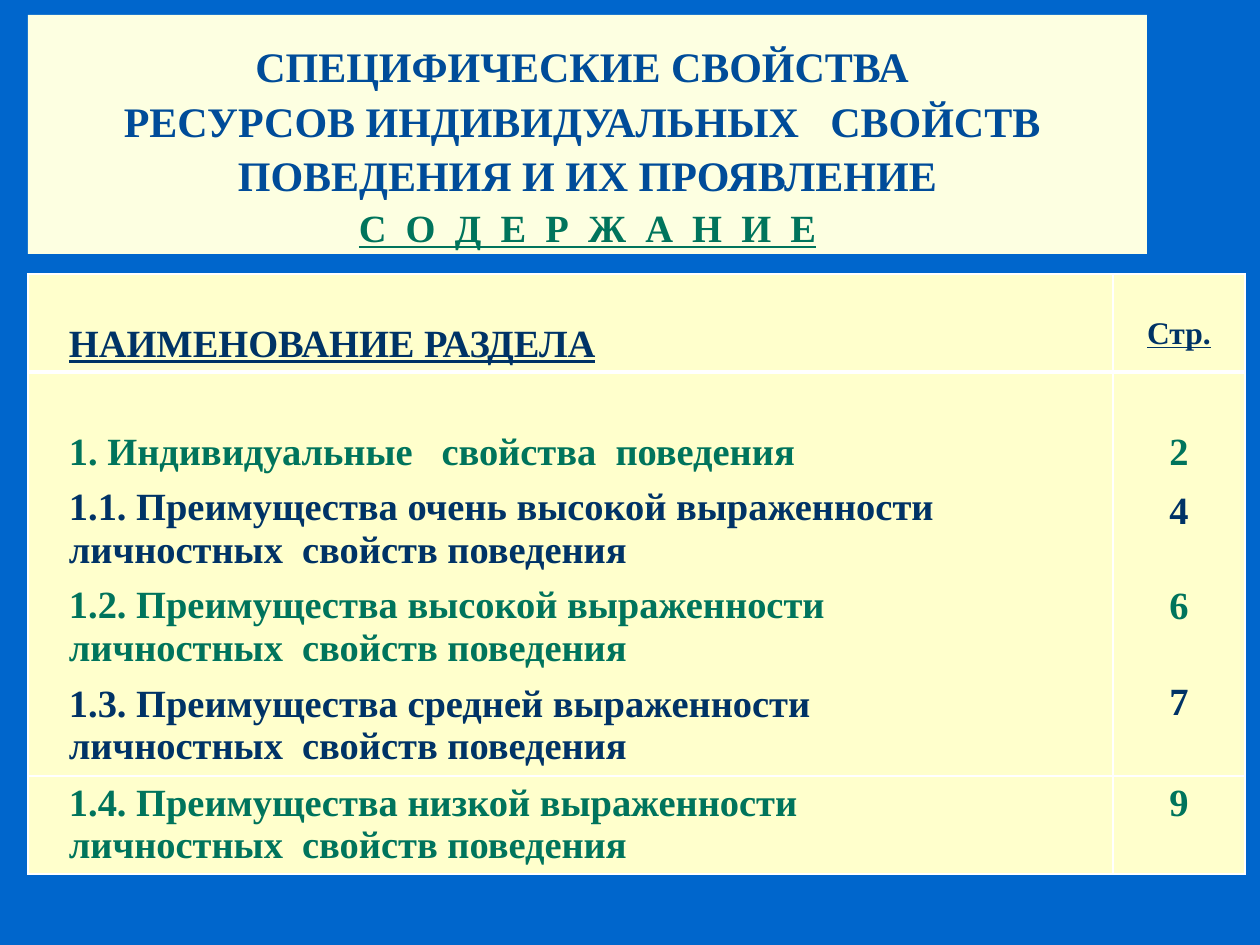
from dataclasses import dataclass

from lxml.etree import SubElement
from pptx import Presentation
from pptx.dml.color import RGBColor
from pptx.enum.shapes import MSO_SHAPE
from pptx.enum.text import MSO_ANCHOR, PP_ALIGN
from pptx.oxml.ns import qn
from pptx.util import Emu, Pt

EMU_PER_PX = 914400 / 126
FONT = "Times New Roman"
BLUE, CREAM, IVORY, WHITE = "0066CC", "FFFFCC", "FDFFE1", "FFFFFF"
TITLE_BLUE, GREEN, NAVY = "004C99", "00745C", "003366"


@dataclass
class Line:
    text: str
    color: str
    size: int = 22
    before: int = 0
    underline: bool = False


@dataclass
class Row:
    height: int
    names: list[Line]
    pages: list[Line]
    name_top: int = 6
    page_top: int = 6
    top_border: float = 1
    bottom_border: float = 1


def px(value: int) -> Emu:
    return Emu(round(value * EMU_PER_PX))


def rgb(color: str) -> RGBColor:
    return RGBColor.from_string(color)


def add_span(para, line: Line) -> None:
    span = para.add_run()
    span.text = line.text
    span.font.name = FONT
    span.font.size = Pt(line.size)
    span.font.bold = True
    span.font.underline = line.underline
    span.font.color.rgb = rgb(line.color)


def add_border(cell, side: str, width: float) -> None:
    border = SubElement(cell._tc.get_or_add_tcPr(), qn(f"a:ln{side}"), w=str(Pt(width)))
    if width:
        fill = SubElement(border, qn("a:solidFill"))
        SubElement(fill, qn("a:srgbClr"), val=WHITE)
    else:
        SubElement(border, qn("a:noFill"))


def fill_cell(cell, row: Row, lines: list[Line], top: int, left: int, align) -> None:
    widths = {"L": 1, "R": 1, "T": row.top_border, "B": row.bottom_border}
    for side, width in widths.items():
        add_border(cell, side, width)
    cell.fill.solid()
    cell.fill.fore_color.rgb = rgb(CREAM)
    cell.margin_left, cell.margin_right = px(left), px(12)
    cell.margin_top, cell.margin_bottom = px(top), px(6)
    frame = cell.text_frame
    for index, line in enumerate(lines):
        para = frame.add_paragraph() if index else frame.paragraphs[0]
        para.alignment = align
        if line.before:
            para.space_before = px(line.before)
        add_span(para, line)


def section(number: str, degree: str, color: str, before: int = 13) -> list[Line]:
    return [
        Line(f"{number} Преимущества {degree} выраженности", color, before=before),
        Line("личностных  свойств поведения", color),
    ]


def add_title(page) -> None:
    box = page.shapes.add_shape(MSO_SHAPE.RECTANGLE, px(28), px(15), px(1119), px(239))
    box.shadow.inherit = False
    box.fill.solid()
    box.fill.fore_color.rgb = rgb(IVORY)
    box.line.fill.background()
    frame = box.text_frame
    frame.word_wrap = True
    frame.vertical_anchor = MSO_ANCHOR.TOP
    frame.margin_top = px(22)
    para = frame.paragraphs[0]
    para.alignment = PP_ALIGN.CENTER
    para.line_spacing = 1.08
    lines = [
        Line("СПЕЦИФИЧЕСКИЕ СВОЙСТВА ", TITLE_BLUE, 24),
        Line("РЕСУРСОВ ИНДИВИДУАЛЬНЫХ   СВОЙСТВ  ПОВЕДЕНИЯ И ИХ ПРОЯВЛЕНИЕ", TITLE_BLUE, 24),
        Line("С  О  Д  Е  Р  Ж  А  Н  И  Е", GREEN, underline=True),
    ]
    for index, line in enumerate(lines):
        if index:
            para.add_line_break()
        add_span(para, line)


def add_contents(page, rows: list[Row]) -> None:
    widths = [1085, 132]
    height = sum(row.height for row in rows)
    table = page.shapes.add_table(
        len(rows), len(widths), px(28), px(274), px(sum(widths)), px(height)
    ).table
    for column, width in zip(table.columns, widths):
        column.width = px(width)
    for index, row in enumerate(rows):
        table.rows[index].height = px(row.height)
        name, number = table.cell(index, 0), table.cell(index, 1)
        fill_cell(name, row, row.names, row.name_top, 41, PP_ALIGN.LEFT)
        fill_cell(number, row, row.pages, row.page_top, 12, PP_ALIGN.CENTER)


def main() -> None:
    deck = Presentation()
    deck.slide_width, deck.slide_height = px(1260), px(945)
    page = deck.slides.add_slide(deck.slide_layouts[6])
    page.background.fill.solid()
    page.background.fill.fore_color.rgb = rgb(BLUE)

    add_title(page)

    # Table of contents: heading, spacer, main sections, last section
    add_contents(page, [
        Row(98, [Line("НАИМЕНОВАНИЕ РАЗДЕЛА", NAVY, underline=True)],
            [Line("Стр.", NAVY, 18, underline=True)],
            name_top=49, page_top=42, bottom_border=3),
        Row(53, [], [], top_border=3, bottom_border=0),
        Row(351,
            [Line("1. Индивидуальные   свойства  поведения", GREEN),
             *section("1.1.", "очень высокой", NAVY),
             *section("1.2.", "высокой", GREEN),
             *section("1.3.", "средней", NAVY)],
            [Line("2", GREEN), Line("4", NAVY, before=17),
             Line("6", GREEN, before=52), Line("7", NAVY, before=54)],
            top_border=0),
        Row(98, section("1.4.", "низкой", GREEN, before=0), [Line("9", GREEN)]),
    ])
    deck.save("out.pptx")


if __name__ == "__main__":
    main()
